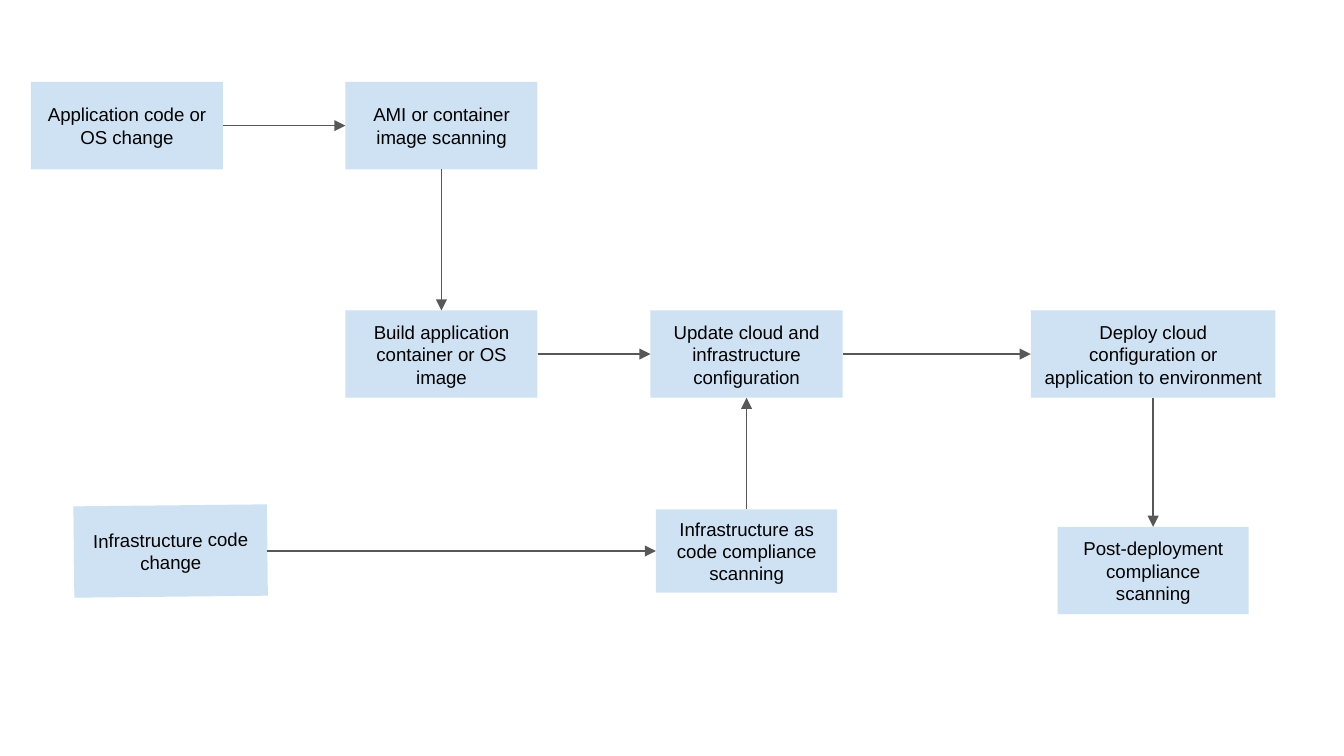
from dataclasses import dataclass

from lxml import etree
from pptx import Presentation
from pptx.dml.color import RGBColor
from pptx.enum import shapes, text
from pptx.oxml import ns
from pptx.util import Inches, Pt


@dataclass(frozen=True)
class Theme:
    """Colours and type sizes of the slide."""
    step_fill: RGBColor = RGBColor(0xCF, 0xE2, 0xF3)
    ink: RGBColor = RGBColor(0, 0, 0)
    flow: RGBColor = RGBColor(0x58, 0x58, 0x58)
    font: str = "Arial"
    label_size: Pt = Pt(10)
    flow_width: Pt = Pt(0.75)


THEME = Theme()
TOP, LEFT, BOTTOM, RIGHT = range(4)  # connection sites of a rectangle
STEP_W, STEP_H = 1.43, 0.65
CODE_ROW, DEPLOY_ROW = 0.61, 2.31
IMAGE_COLUMN = 2.57

# key: (label, left, top, width, height, rotation)
STEPS = {
    "build": ("Build application container or OS image",
              IMAGE_COLUMN, DEPLOY_ROW, STEP_W, STEP_H, 0),
    "deploy": ("Deploy cloud configuration or application to environment",
               7.67, DEPLOY_ROW, 1.82, STEP_H, 0),
    "update": ("Update cloud and infrastructure configuration",
               4.84, DEPLOY_ROW, STEP_W, STEP_H, 0),
    "app_change": ("Application code or OS change",
                   0.23, CODE_ROW, STEP_W, STEP_H, 0),
    "infra_change": ("Infrastructure code change",
                     0.55, 3.76, 1.44, 0.68, 359.4),
    "infra_scan": ("Infrastructure as code compliance scanning",
                   4.88, 3.79, 1.35, 0.62, 0),
    "image_scan": ("AMI or container image scanning",
                   IMAGE_COLUMN, CODE_ROW, STEP_W, STEP_H, 0),
    "post_scan": ("Post-deployment compliance scanning",
                  7.87, 3.92, 1.42, STEP_H, 0),
}

FLOWS = [
    ("app_change", RIGHT, "image_scan", LEFT),
    ("image_scan", BOTTOM, "build", TOP),
    ("build", RIGHT, "update", LEFT),
    ("update", RIGHT, "deploy", LEFT),
    ("infra_change", RIGHT, "infra_scan", LEFT),
    ("infra_scan", TOP, "update", BOTTOM),
    ("deploy", BOTTOM, "post_scan", TOP),
]


def add_step(slide, label, left, top, width, height, rotation):
    """Add one filled process step with a centred label."""
    step = slide.shapes.add_shape(
        shapes.MSO_SHAPE.RECTANGLE,
        Inches(left), Inches(top), Inches(width), Inches(height))
    step.rotation = rotation
    step.shadow.inherit = False
    step.fill.solid()
    step.fill.fore_color.rgb = THEME.step_fill
    step.line.fill.background()

    frame = step.text_frame
    frame.word_wrap = True
    frame.vertical_anchor = text.MSO_ANCHOR.MIDDLE
    frame.margin_left = frame.margin_right = Inches(0.1)
    frame.margin_top = frame.margin_bottom = Inches(0.1)
    paragraph = frame.paragraphs[0]
    paragraph.alignment = text.PP_ALIGN.CENTER
    run = paragraph.add_run()
    run.text = label
    run.font.name = THEME.font
    run.font.size = THEME.label_size
    run.font.color.rgb = THEME.ink
    return step


def add_flow(slide, source, source_site, target, target_site):
    """Join two steps with a straight arrow."""
    flow = slide.shapes.add_connector(
        shapes.MSO_CONNECTOR.STRAIGHT, 0, 0, 0, 0)
    flow.begin_connect(source, source_site)
    flow.end_connect(target, target_site)
    flow.line.color.rgb = THEME.flow
    flow.line.width = THEME.flow_width
    outline = flow._element.spPr.find(ns.qn("a:ln"))
    etree.SubElement(outline, ns.qn("a:tailEnd"),
                     type="triangle", w="med", len="med")
    etree.SubElement(flow._element.spPr, ns.qn("a:effectLst"))


def main():
    """Build the compliance scanning pipeline slide."""
    deck = Presentation()
    deck.slide_width = Inches(10)
    deck.slide_height = deck.slide_width * 9 // 16
    slide = deck.slides.add_slide(deck.slide_layouts[6])
    steps = {key: add_step(slide, *step) for key, step in STEPS.items()}
    for source, source_site, target, target_site in FLOWS:
        add_flow(slide, steps[source], source_site, steps[target], target_site)
    deck.save("out.pptx")


main()
